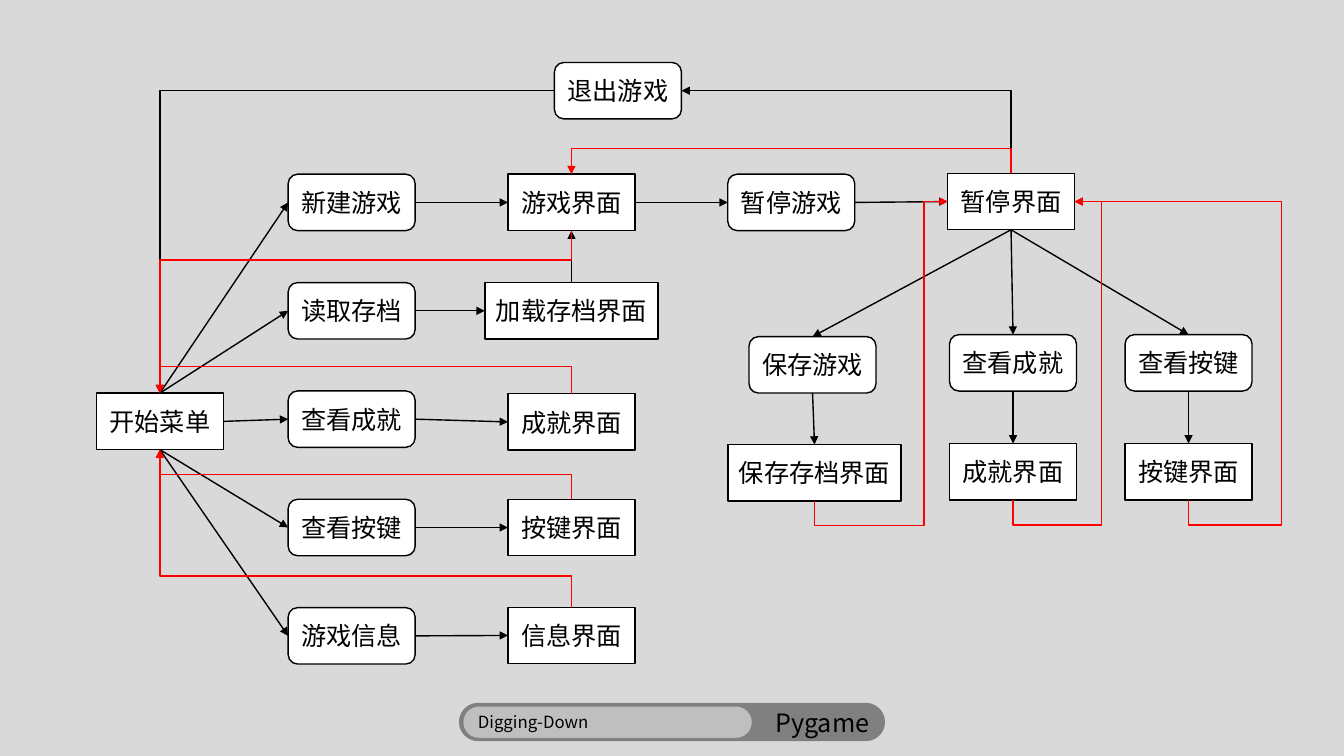
from lxml.etree import SubElement
from pptx import Presentation
from pptx.dml.color import RGBColor
from pptx.enum.shapes import MSO_CONNECTOR, MSO_SHAPE
from pptx.enum.text import MSO_ANCHOR, PP_ALIGN
from pptx.oxml.ns import qn
from pptx.util import Pt

FONT = "Noto Sans CJK SC"
BLACK, RED, WHITE = "000000", "FF0000", "FFFFFF"
ACTION, SCREEN = MSO_SHAPE.FLOWCHART_ALTERNATE_PROCESS, MSO_SHAPE.FLOWCHART_PROCESS
TOP, LEFT, BOTTOM, RIGHT = range(4)  # connection sites of a flowchart box

# Centres of the columns and rows
START_X = 114.2
ACTION_X, SCREEN_X, PAUSE_ACTION_X, PAUSE_X = [251.2 + 157 * i for i in range(4)]
ROWS = [144.6 + 77.4 * i for i in range(5)]
BOX_HEIGHT = 40.3
BOX_WIDTHS = {4: 90.7, 6: 123.8}  # by number of characters

# key: (label, kind, centre x, centre y)
BOXES = {
    "start": ("开始菜单", SCREEN, START_X, 301),
    "new": ("新建游戏", ACTION, ACTION_X, ROWS[0]),
    "load": ("读取存档", ACTION, ACTION_X, ROWS[1]),
    "achievements": ("查看成就", ACTION, ACTION_X, ROWS[2]),
    "keys": ("查看按键", ACTION, ACTION_X, ROWS[3]),
    "info": ("游戏信息", ACTION, ACTION_X, ROWS[4]),
    "game screen": ("游戏界面", SCREEN, SCREEN_X, ROWS[0]),
    "load screen": ("加载存档界面", SCREEN, SCREEN_X, ROWS[1]),
    "achievements screen": ("成就界面", SCREEN, SCREEN_X, 301.4),
    "keys screen": ("按键界面", SCREEN, SCREEN_X, ROWS[3]),
    "info screen": ("信息界面", SCREEN, SCREEN_X, 453.9),
    "pause": ("暂停游戏", ACTION, PAUSE_ACTION_X, ROWS[0]),
    "pause screen": ("暂停界面", SCREEN, PAUSE_X, 144),
    "exit": ("退出游戏", ACTION, 441.4, 64.8),
    "save": ("保存游戏", ACTION, 580.4, 260.6),
    "save screen": ("保存存档界面", SCREEN, 581.8, 337.7),
    "paused achievements": ("查看成就", ACTION, 723.6, 259.2),
    "paused achievements screen": ("成就界面", SCREEN, 723.6, 337),
    "paused keys": ("查看按键", ACTION, 849, 259.2),
    "paused keys screen": ("按键界面", SCREEN, 849, 337),
}

# (from, site, to, site)
ARROWS = [
    ("start", TOP, "new", LEFT),
    ("start", TOP, "load", LEFT),
    ("start", RIGHT, "achievements", LEFT),
    ("start", BOTTOM, "keys", LEFT),
    ("start", BOTTOM, "info", LEFT),
    ("new", RIGHT, "game screen", LEFT),
    ("load", RIGHT, "load screen", LEFT),
    ("achievements", RIGHT, "achievements screen", LEFT),
    ("keys", RIGHT, "keys screen", LEFT),
    ("info", RIGHT, "info screen", LEFT),
    ("load screen", TOP, "game screen", BOTTOM),
    ("game screen", RIGHT, "pause", LEFT),
    ("pause", RIGHT, "pause screen", LEFT),
    ("pause screen", BOTTOM, "save", TOP),
    ("pause screen", BOTTOM, "paused achievements", TOP),
    ("pause screen", BOTTOM, "paused keys", TOP),
    ("save", BOTTOM, "save screen", TOP),
    ("paused achievements", BOTTOM, "paused achievements screen", TOP),
    ("paused keys", BOTTOM, "paused keys screen", TOP),
]

# (from, site, to, site, colour, lanes): a lane is the y, then the x, where the route turns
ROUTES = [
    ("pause screen", TOP, "exit", RIGHT, BLACK, []),
    ("exit", LEFT, "start", TOP, BLACK, []),
    ("game screen", BOTTOM, "start", TOP, RED, [185.8]),
    ("pause screen", TOP, "game screen", TOP, RED, [105.8]),
    ("save screen", BOTTOM, "pause screen", LEFT, RED, [375.7, 660]),
    ("paused achievements screen", BOTTOM, "pause screen", RIGHT, RED, [375, 787]),
    ("paused keys screen", BOTTOM, "pause screen", RIGHT, RED, [375, 915.4]),
    ("achievements screen", TOP, "start", TOP, RED, [261.8]),
    ("keys screen", TOP, "start", BOTTOM, RED, [339]),
    ("info screen", TOP, "start", BOTTOM, RED, [411.4]),
]

# (text, left, top, width, height, fill, size, alignment)
FOOTER = [
    ("Pygame", 327.8, 502, 304.4, 27.4, "808080", 18, PP_ALIGN.RIGHT),
    ("Digging-Down", 331, 504.7, 206, 22.3, "BFBFBF", 12, PP_ALIGN.JUSTIFY),
]


def rgb(colour):
    return RGBColor.from_string(colour)


def write(shape, text, size=18, align=PP_ALIGN.CENTER, colour=BLACK):
    frame = shape.text_frame
    frame.word_wrap = True
    frame.vertical_anchor = MSO_ANCHOR.MIDDLE
    paragraph = frame.paragraphs[0]
    paragraph.alignment = align
    run = paragraph.add_run()
    run.text = text
    run.font.size = Pt(size)
    run.font.name = FONT
    run.font.color.rgb = rgb(colour)
    SubElement(run.font._element, qn("a:ea"), typeface=FONT)


def add_block(kind, left, top, width, height, fill, outline=None):
    block = slide.shapes.add_shape(kind, Pt(left), Pt(top), Pt(width), Pt(height))
    block.shadow.inherit = False
    block.fill.solid()
    block.fill.fore_color.rgb = rgb(fill)
    if outline:
        block.line.color.rgb = rgb(outline)
        block.line.width = Pt(1)
    else:
        block.line.fill.background()
    return block


def add_arrow(kind, left, top, right, bottom, colour):
    arrow = slide.shapes.add_connector(kind, Pt(left), Pt(top), Pt(right), Pt(bottom))
    arrow.line.color.rgb = rgb(colour)
    arrow.line.width = Pt(1)
    SubElement(arrow.line._get_or_add_ln(), qn("a:tailEnd"), type="triangle")
    SubElement(arrow._element.spPr, qn("a:effectLst"))
    return arrow


def site_point(key, site):
    label, _, x, y = BOXES[key]
    half_width, half_height = BOX_WIDTHS[len(label)] / 2, BOX_HEIGHT / 2
    return {TOP: (x, y - half_height), LEFT: (x - half_width, y),
            BOTTOM: (x, y + half_height), RIGHT: (x + half_width, y)}[site]


def add_route(source, source_site, target, target_site, colour, lanes):
    """Draw an elbow arrow; its frame is turned so that it leaves along its own x axis."""
    start, end = site_point(source, source_site), site_point(target, target_site)
    dx, dy = end[0] - start[0], end[1] - start[1]
    angle, along, across = {TOP: (270, -dy, dx), BOTTOM: (90, dy, -dx),
                            LEFT: (180, -dx, -dy), RIGHT: (0, dx, dy)}[source_site]
    width, height = abs(along), abs(across)
    left = (start[0] + end[0] - width) / 2
    top = (start[1] + end[1] - height) / 2
    route = add_arrow(MSO_CONNECTOR.ELBOW, left, top, left + width, top + height, colour)
    properties = route._element.spPr
    frame = properties.find(qn("a:xfrm"))
    frame.set("rot", str(angle * 60000))
    frame.set("flipH", str(int(along < 0)))
    frame.set("flipV", str(int(across < 0)))
    geometry = properties.find(qn("a:prstGeom"))
    geometry.set("prst", f"bentConnector{len(lanes) + 2}")
    guides = geometry.find(qn("a:avLst"))
    for number, (lane, origin, reach) in enumerate(zip(lanes, start[::-1], (dy, dx)), 1):
        share = round((lane - origin) / reach * 100000)
        SubElement(guides, qn("a:gd"), name=f"adj{number}", fmla=f"val {share}")


deck = Presentation()
deck.slide_width, deck.slide_height = Pt(960), Pt(540)
slide = deck.slides.add_slide(deck.slide_layouts[6])
slide.background.fill.solid()
slide.background.fill.fore_color.rgb = rgb("D9D9D9")

for text, left, top, width, height, fill, size, align in FOOTER:
    pill = add_block(MSO_SHAPE.ROUNDED_RECTANGLE, left, top, width, height, fill)
    pill.adjustments[0] = 0.5
    write(pill, text, size=size, align=align)

boxes = {}
for key, (label, kind, x, y) in BOXES.items():
    width = BOX_WIDTHS[len(label)]
    boxes[key] = add_block(kind, x - width / 2, y - BOX_HEIGHT / 2, width, BOX_HEIGHT,
                           WHITE, outline=BLACK)
    write(boxes[key], label)

for source, source_site, target, target_site in ARROWS:
    arrow = add_arrow(MSO_CONNECTOR.STRAIGHT, *site_point(source, source_site),
                      *site_point(target, target_site), BLACK)
    arrow.begin_connect(boxes[source], source_site)
    arrow.end_connect(boxes[target], target_site)

for route in ROUTES:
    add_route(*route)

deck.save("out.pptx")
